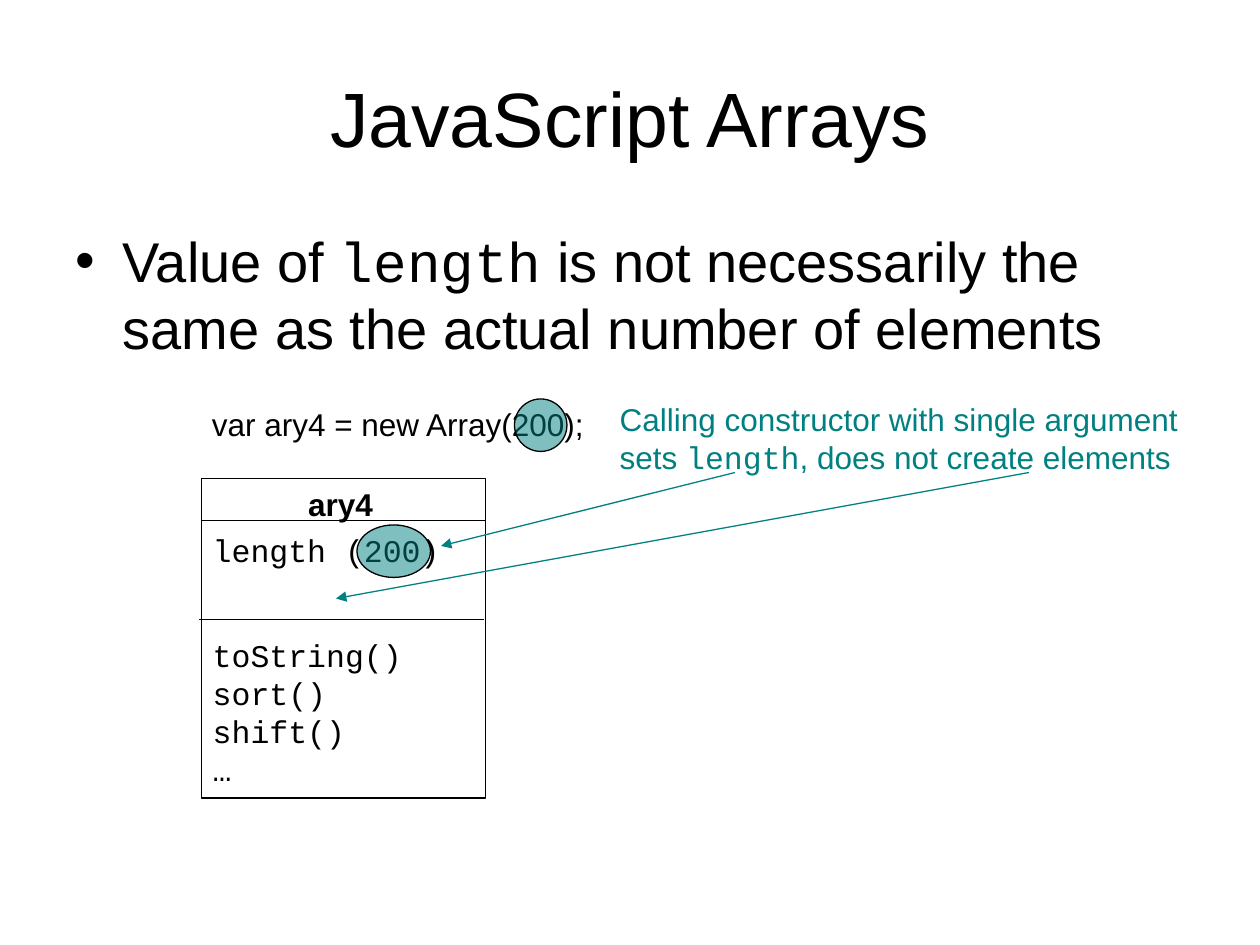
from pptx import Presentation
from pptx.dml.color import RGBColor
from pptx.enum.shapes import MSO_CONNECTOR, MSO_SHAPE
from pptx.enum.text import MSO_ANCHOR, PP_ALIGN
from pptx.oxml.ns import qn
from pptx.util import Pt
from lxml import etree

LINE = MSO_CONNECTOR.STRAIGHT
RECT = MSO_SHAPE.RECTANGLE
OVAL = MSO_SHAPE.OVAL
MIDDLE = MSO_ANCHOR.MIDDLE
CENTER = PP_ALIGN.CENTER
BLACK = RGBColor(0, 0, 0)
TEAL = RGBColor(0, 128, 128)
SANS = "Arial"
MONO = "Courier New"


def set_font(font, name, size, color, bold=False):
    font.name = name
    font.size = Pt(size)
    font.color.rgb = color
    font.bold = bold


def add_text(slide, box, lines, name=SANS, size=18, color=BLACK, bold=False, wrap=False):
    frame = slide.shapes.add_textbox(*map(Pt, box)).text_frame
    frame.word_wrap = wrap
    for i, line in enumerate(lines):
        para = frame.add_paragraph() if i else frame.paragraphs[0]
        parts = [line] if isinstance(line, str) else line
        for j, part in enumerate(parts):
            run = para.add_run()
            run.text = part
            if len(parts) > 1:
                run.font.name = MONO if j % 2 else SANS
        set_font(para.font, name, size, color, bold)
    return frame


def add_line(slide, start, end, color=BLACK, arrow=False):
    line = slide.shapes.add_connector(LINE, *map(Pt, start + end))
    line.line.color.rgb = color
    line.line.width = Pt(0.75)
    if arrow:
        etree.SubElement(line.line._get_or_add_ln(), qn("a:tailEnd"), type="triangle")
    etree.SubElement(line._element.spPr, qn("a:effectLst"))


def add_frame(slide, kind, box):
    shape = slide.shapes.add_shape(kind, *map(Pt, box))
    shape.shadow.inherit = False
    shape.fill.background()
    shape.line.color.rgb = BLACK
    shape.line.width = Pt(0.75)
    return shape


def add_mark(slide, box):
    mark = add_frame(slide, OVAL, box)
    mark.fill.solid()
    mark.fill.fore_color.rgb = TEAL
    tint = mark._element.spPr.find(qn("a:solidFill"))[0]
    etree.SubElement(tint, qn("a:alpha"), val="50000")


def add_title(slide, box):
    title = slide.shapes.title
    title.left, title.top, title.width, title.height = map(Pt, box)
    frame = title.text_frame
    frame.text = "JavaScript Arrays"
    frame.vertical_anchor = MIDDLE
    para = frame.paragraphs[0]
    para.alignment = CENTER
    set_font(para.font, SANS, 44, BLACK)


def add_point(slide, box):
    line = ("Value of ", "length", " is not necessarily the same as the actual number of elements")
    frame = add_text(slide, box, [line], size=32, wrap=True)
    props = frame.paragraphs[0]._p.get_or_add_pPr()
    props.set("marL", str(Pt(27)))
    props.set("indent", str(Pt(-27)))
    font = etree.Element(qn("a:buFont"), typeface=SANS)
    mark = etree.Element(qn("a:buChar"), char="•")
    props.insert(0, font)
    props.insert(1, mark)


def add_code(slide, box):
    left, top, width, height = box
    add_text(slide, box, ["var ary4 = new Array(200);"])
    add_mark(slide, (left + 180, top, 30, 30))


def add_object(slide, box):
    left, top, width, height = box
    add_frame(slide, RECT, box)
    for x, y in ((left, top + 24), (left - 1, top + 80.5)):
        add_line(slide, (x, y), (x + width, y))
    add_text(slide, (left + 54, top, 56, 29), ["ary4"], bold=True)
    add_text(slide, (left - 0.5, top + 26.5, 144, 29), ["length (200)"], MONO)
    add_text(slide, (left - 0.5, top + 86.5, 122.5, 93.5),
             ["toString()", "sort()", "shift()", "…"], MONO)
    add_mark(slide, (left + 89, top + 26.5, 42, 30))


def add_note(slide, box, ends):
    left, top, width, height = box
    add_text(slide, box, ["Calling constructor with single argument",
                          ("sets ", "length", ", does not create elements")], color=TEAL)
    for shift, end in zip((73, 241), ends):
        add_line(slide, (left + shift, top + 45), end, TEAL, arrow=True)


def main():
    deck = Presentation()
    deck.slide_width, deck.slide_height = Pt(720), Pt(540)
    slide = deck.slides.add_slide(deck.slide_layouts[5])
    add_title(slide, (36, 21.5, 648, 90))
    add_point(slide, (36, 126, 648, 356.5))
    add_code(slide, (114, 228, 227.5, 29))
    add_object(slide, (115, 273.5, 162.5, 182.5))
    add_note(slide, (347, 225, 333.5, 50.5), ((252, 312), (192, 342)))
    deck.save("out.pptx")


if __name__ == "__main__":
    main()
